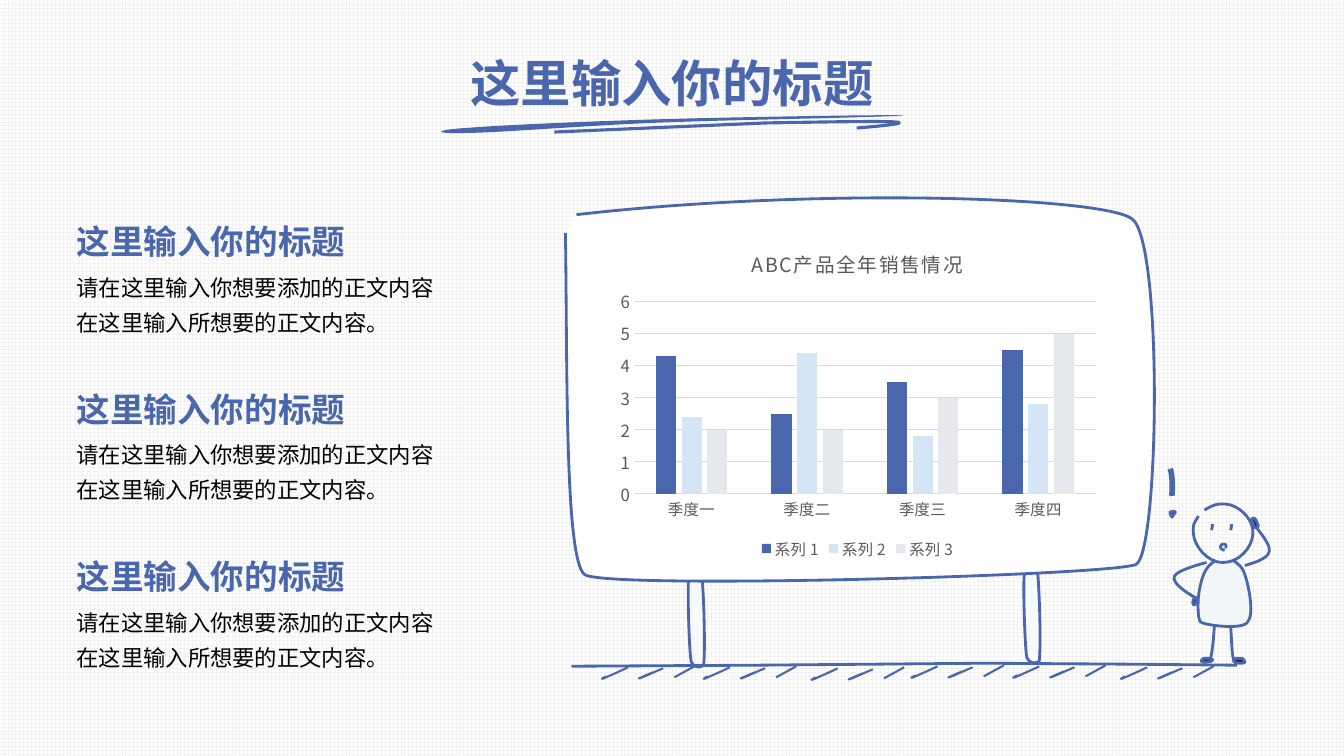
"""Build a hand-drawn billboard slide with three text blocks and a column chart."""
from lxml.etree import SubElement
from pptx import Presentation
from pptx.chart.data import CategoryChartData
from pptx.dml.color import RGBColor
from pptx.enum.chart import XL_CHART_TYPE as ChartType, XL_LEGEND_POSITION as LegendPosition
from pptx.enum.chart import XL_TICK_MARK as TickMark
from pptx.enum.dml import MSO_PATTERN as Pattern
from pptx.enum.text import MSO_ANCHOR as Anchor, MSO_AUTO_SIZE as AutoSize, PP_ALIGN as Align
from pptx.oxml import parse_xml
from pptx.oxml.ns import nsdecls, qn
from pptx.util import Pt

BLUE = RGBColor(0x4A, 0x66, 0xAC)
NAVY = RGBColor(0x24, 0x28, 0x52)
PALE_BLUE = RGBColor(0xD4, 0xE5, 0xF6)
PALE_GRAY = RGBColor(0xE5, 0xE8, 0xED)
POST_FILL = RGBColor(0xF6, 0xFA, 0xFD)
BODY_FILL = RGBColor(0xF1, 0xF7, 0xF8)
GRID_GRAY = RGBColor(0xD9, 0xD9, 0xD9)
PAPER_GRID = RGBColor(0xF2, 0xF2, 0xF2)
TEXT_GRAY = RGBColor(0x59, 0x59, 0x59)
WHITE = RGBColor(0xFF, 0xFF, 0xFF)
BLACK = RGBColor(0, 0, 0)
FONT = "Noto Sans CJK JP"
UNIT = 0.72

presentation = Presentation()
presentation.slide_width = Pt(960)
presentation.slide_height = Pt(540)
slide = presentation.slides.add_slide(presentation.slide_layouts[5])
paper = slide.background.fill
paper.patterned()
paper.pattern = Pattern.LARGE_GRID
paper.fore_color.rgb = PAPER_GRID
paper.back_color.rgb = WHITE


def sketch(outline, fill=None, width=2.0, dx=0, dy=0):
    """Draw a start point followed by lines (x, y) and cubic curves (six numbers)."""
    points = [(Pt((segment[i] + dx) * UNIT), Pt((segment[i + 1] + dy) * UNIT))
              for segment in outline for i in range(0, len(segment), 2)]
    builder = slide.shapes.build_freeform(*points[0])
    builder.add_line_segments(points[1:], close=outline[0] == outline[-1][-2:])
    shape = builder.convert_to_shape()
    steps = iter(list(shape._element.iter(qn("a:lnTo"))))
    for segment in outline[1:]:
        first = next(steps)
        if len(segment) == 6:
            first.tag = qn("a:cubicBezTo")
            for step in (next(steps), next(steps)):
                first.append(step[0])
                step.getparent().remove(step)
    shape.shadow.inherit = False
    if fill is None:
        shape.fill.background()
    else:
        shape.fill.solid()
        shape.fill.fore_color.rgb = fill
    if width:
        shape.line.color.rgb = BLUE
        shape.line.width = Pt(width)
    else:
        shape.line.fill.background()


def write(shape, text, size, color, bold, spacing, align, anchor):
    """Put one formatted paragraph into a shape."""
    frame = shape.text_frame
    frame.text = text
    frame.word_wrap = True
    frame.auto_size = AutoSize.NONE
    frame.vertical_anchor = anchor
    paragraph = frame.paragraphs[0]
    paragraph.alignment = align
    paragraph.line_spacing = spacing
    paragraph.space_before = Pt(0)
    font = paragraph.runs[0].font
    font.name, font.size, font.bold = FONT, Pt(size), bold
    font.color.rgb = color


sketch([(463, 127), (498, 124, 595, 120, 667, 118), (738, 116, 916, 113, 894, 115),
        (811, 118, 719, 119, 647, 122), (575, 125, 491, 132, 461, 132),
        (430, 133, 429, 129, 463, 127)], BLUE, 0)
sketch([(550, 131), (760, 122), (816, 121, 873, 120, 888, 121), (903, 122, 876, 125, 850, 127)],
       width=2.25)

for dx, dy in ((0, 0), (-333, 4)):
    sketch([(1016, 572), (1015, 587, 1017, 650, 1019, 653), (1021, 656, 1024, 660, 1031, 656),
            (1033, 641, 1031, 578, 1029, 564), (1026, 550, 1018, 557, 1016, 572)],
           POST_FILL, dx=dx, dy=dy)
sketch([(561, 231), (563, 359, 560, 555, 580, 570), (600, 585, 1103, 571, 1127, 560),
        (1150, 549, 1154, 239, 1123, 217), (1092, 195, 807, 186, 572, 213)], WHITE)
sketch([(567, 661), (750, 660), (977, 658), (1125, 659), (1227, 660)])

hatch_strokes = [
    (0, 0, [(0, 0), (-10, 5, -20, 9, -24, 11), (-28, 12, -25, 11, -22, 9)]),
    (35, 1, [(0, 0), (-10, 4, -22, 10, -24, 10), (-26, 11, -13, 5, -10, 4)]),
    (66, -1, [(0, 0), (-20, 11)]),
]
for x, y in ((623, 662), (724, 662), (831, 663), (930, 661), (1031, 661), (1138, 662)):
    for dx, dy, stroke in hatch_strokes:
        sketch(stroke, width=1.5, dx=x + dx, dy=y + dy)

legs = [
    [(1205, 619), (1204, 633, 1203, 646, 1201, 653)],
    [(1221, 622), (1222, 635, 1222, 649, 1224, 655)],
]
feet = [
    [(1192, 655), (1193, 653, 1194, 653, 1197, 653), (1200, 653, 1204, 654, 1203, 655),
     (1203, 656, 1200, 657, 1197, 657), (1194, 657, 1191, 657, 1192, 655)],
    [(1235, 656), (1234, 653, 1232, 653, 1229, 653), (1226, 653, 1222, 654, 1224, 656),
     (1224, 657, 1226, 658, 1229, 658), (1232, 658, 1236, 658, 1235, 656)],
]
torso = [(1205, 557), (1195, 562, 1192, 575, 1190, 585), (1188, 595, 1188, 614, 1191, 617),
         (1194, 620, 1230, 625, 1237, 618), (1245, 611, 1239, 583, 1236, 573),
         (1233, 563, 1230, 560, 1223, 556)]
eyes = [[(1202, 526), (1203, 520)], [(1221, 526), (1222, 520)]]
arms = [
    [(1235, 561), (1246, 558, 1257, 554, 1259, 548), (1261, 542, 1254, 533, 1247, 524)],
    [(1197, 558), (1182, 562, 1167, 567, 1165, 572), (1163, 578, 1174, 586, 1186, 593)],
]
hands = [
    [(1187, 597), (1189, 593, 1188, 593, 1187, 593), (1186, 592, 1184, 593, 1184, 595),
     (1183, 597, 1183, 599, 1184, 600), (1185, 600, 1186, 601, 1187, 597)],
    [(1243, 519), (1241, 514, 1242, 514, 1243, 514), (1244, 513, 1246, 515, 1247, 518),
     (1248, 520, 1249, 523, 1248, 523), (1246, 524, 1245, 525, 1243, 519)],
]
mouth = [(1216, 544), (1217, 540, 1216, 540, 1215, 540), (1213, 539, 1211, 540, 1211, 542),
         (1210, 544, 1213, 546, 1215, 546)]
head = [(1195, 506), (1202, 502, 1208, 498, 1221, 501), (1233, 505, 1244, 517, 1243, 530),
        (1242, 543, 1230, 558, 1213, 558), (1197, 558, 1185, 541, 1184, 530),
        (1183, 519, 1185, 519, 1189, 512)]
for outlines, fill in ((legs, None), (feet, NAVY), ([torso], BODY_FILL), (eyes, None),
                       (arms, None), (hands, NAVY), ([mouth, head], None)):
    for outline in outlines:
        sketch(outline, fill)
sketch([(1161, 465), (1162, 467, 1163, 476, 1163, 480), (1163, 483, 1163, 485, 1163, 487),
        (1162, 489, 1163, 491, 1163, 492)], width=4)
sketch([(1161, 508), (1162, 507, 1166, 507, 1166, 508), (1167, 508, 1163, 512, 1163, 513),
        (1162, 513, 1160, 508, 1161, 508)], NAVY)

title = slide.shapes.title
title.left, title.top, title.width, title.height = Pt(304.5), Pt(38), Pt(351), Pt(47.5)
write(title, "这里输入你的标题", 36, BLUE, True, 0.9, Align.CENTER, Anchor.MIDDLE)
for row in range(3):
    top = 157.7 + row * 119.6
    heading = slide.shapes.add_textbox(Pt(47.5), Pt(top), Pt(251), Pt(34))
    write(heading, "这里输入你的标题", 24, BLUE, True, 0.9, Align.LEFT, Anchor.TOP)
    body = slide.shapes.add_textbox(Pt(47.5), Pt(top + 28.8), Pt(284.5), Pt(56))
    write(body, "请在这里输入你想要添加的正文内容在这里输入所想要的正文内容。",
          16, BLACK, False, 1.3, Align.LEFT, Anchor.TOP)

sales = CategoryChartData()
sales.categories = ["季度一", "季度二", "季度三", "季度四"]
sales.add_series("系列 1", (4.3, 2.5, 3.5, 4.5))
sales.add_series("系列 2", (2.4, 4.4, 1.8, 2.8))
sales.add_series("系列 3", (2, 2, 3, 5))
chart = slide.shapes.add_chart(ChartType.COLUMN_CLUSTERED, Pt(435), Pt(165.6), Pt(355), Pt(237), sales).chart
chart.has_title = True
chart.chart_title.text_frame.text = "ABC产品全年销售情况"
title_run = chart.chart_title.text_frame.paragraphs[0].runs[0]
title_run.font.bold = False
title_run._r.get_or_add_rPr().set("spc", "100")
chart.has_legend = True
chart.legend.position = LegendPosition.BOTTOM
chart.legend.include_in_layout = False
category_axis, value_axis = chart.category_axis, chart.value_axis
for font, size in ((chart.font, 10), (title_run.font, 14), (chart.legend.font, 11),
                   (category_axis.tick_labels.font, 11), (value_axis.tick_labels.font, 12)):
    font.name, font.size = FONT, Pt(size)
    font.color.rgb = TEXT_GRAY
for axis in (category_axis, value_axis):
    axis.major_tick_mark = axis.minor_tick_mark = TickMark.NONE
for line in (category_axis.format.line, value_axis.major_gridlines.format.line):
    line.color.rgb = GRID_GRAY
    line.width = Pt(0.75)
value_axis.format.line.fill.background()
value_axis.minimum_scale, value_axis.maximum_scale, value_axis.major_unit = 0, 6, 1
plot = chart.plots[0]
plot.gap_width, plot.overlap, plot.vary_by_categories = 219, -27, False
for series, color in zip(plot.series, (BLUE, PALE_BLUE, PALE_GRAY)):
    series.format.fill.solid()
    series.format.fill.fore_color.rgb = color
plot_area = chart._chartSpace.chart.plotArea
for old_layout in plot_area.findall(qn("c:layout")):
    plot_area.remove(old_layout)
layout = parse_xml(f'<c:layout {nsdecls("c")}><c:manualLayout/></c:layout>')
for tag, value in (("layoutTarget", "inner"), ("xMode", "edge"), ("yMode", "edge"),
                   ("x", "0.05"), ("y", "0.21"), ("w", "0.93"), ("h", "0.58")):
    SubElement(layout[0], qn(f"c:{tag}")).set("val", value)
plot_area.insert(0, layout)

for tree in (slide.shapes._spTree, chart._chartSpace):
    for latin in list(tree.iter(qn("a:latin"))):
        latin.addnext(parse_xml(f'<a:ea {nsdecls("a")} typeface="{FONT}"/>'))

presentation.save("out.pptx")
